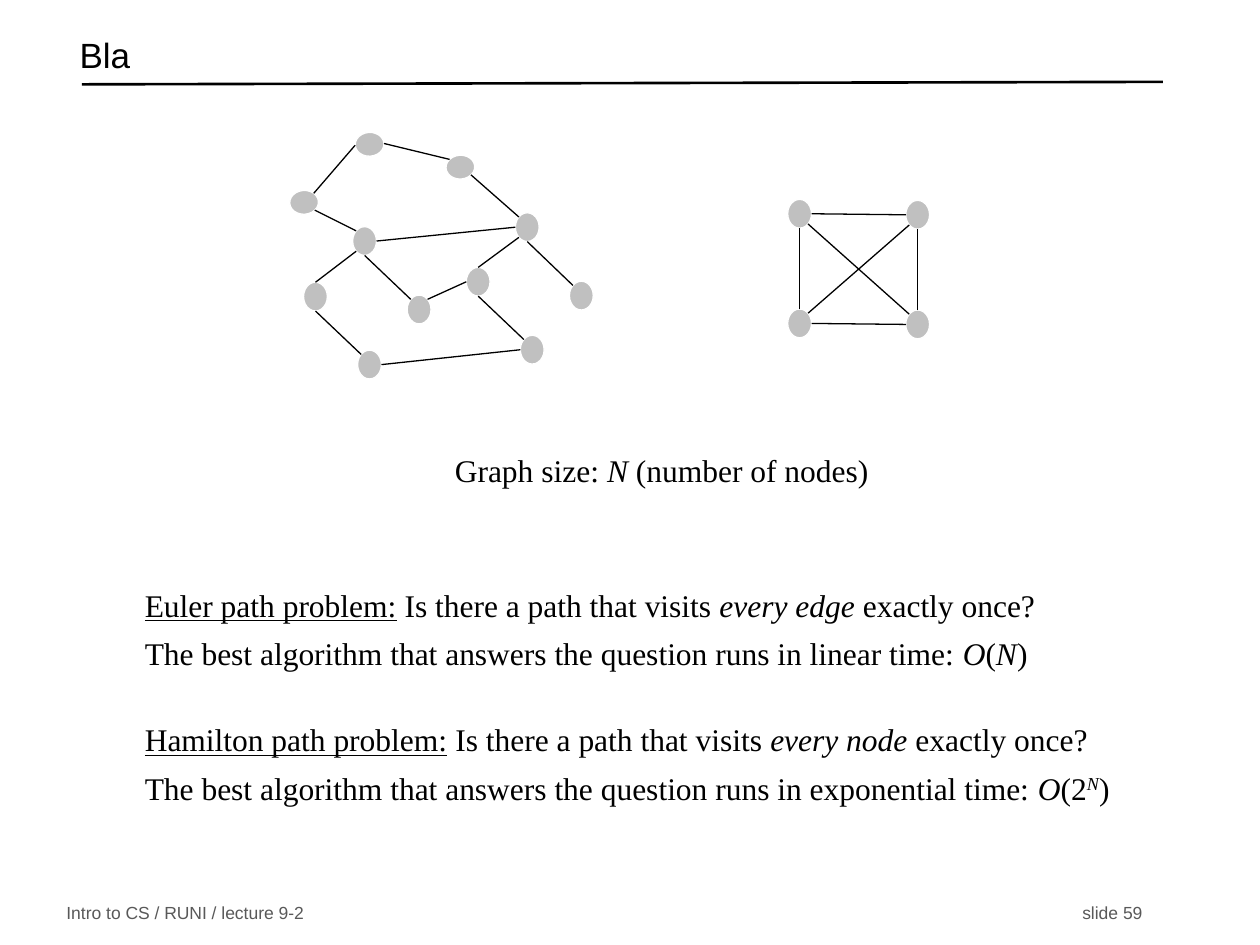
import math

from lxml import etree
from pptx import Presentation
from pptx import util as u
from pptx.dml.color import RGBColor
from pptx.enum import shapes, text
from pptx.oxml import ns

NODE_WIDTH, NODE_HEIGHT = 0.48, 0.58
SERIF = {"name": "Times New Roman", "size": u.Pt(18)}
UNDERLINED = {"underline": True}
ITALIC = {"italic": True}
CENTRED = {"vertical_anchor": text.MSO_ANCHOR.MIDDLE, "word_wrap": True}

NETWORK_NODES = {
    "A": (1.6, 0.31, 86.5), "B": (3.43, 0.77, 86.5), "C": (0.28, 1.48, 86.5),
    "D": (1.5, 2.26, 0), "E": (4.78, 1.98, 0), "F": (0.51, 3.38, 0),
    "G": (2.6, 3.64, 0), "H": (3.79, 3.08, 0), "I": (5.87, 3.36, 0),
    "J": (1.6, 4.75, 0), "K": (4.88, 4.45, 0),
}
NETWORK_EDGES = ("F4-J1 D4-G1 D3-F0 H4-K1 E4-I1 J6-K2 G7-H2 "
                 "E3-H0 D6-E2 A4-C1 B3-A0 D1-C7 B7-E1")
SQUARE_NODES = {
    "P": (0.32, 0.41, 0), "Q": (0.32, 2.62, 0),
    "R": (2.7, 0.43, 0), "S": (2.7, 2.64, 0),
}
SQUARE_EDGES = "P4-Q0 R4-S0 S2-Q6 R2-P6 R3-Q7 S1-P5"


def colour(hex_string):
    return RGBColor.from_string(hex_string)


def apply(target, values):
    for attribute, value in values.items():
        setattr(target, attribute, value)


def write(paragraph, runs, base, hex_string="000000"):
    for wording, extra in runs:
        run = paragraph.add_run()
        run.text = wording
        apply(run.font, {**base, **extra})
        run.font.color.rgb = colour(hex_string)
    return paragraph.runs


def add_line(canvas, start, end, width):
    line = canvas.add_connector(
        shapes.MSO_CONNECTOR.STRAIGHT, *(u.Cm(v) for v in (*start, *end)))
    line.line.color.rgb = colour("000000")
    line.line.width = u.Pt(width)
    etree.SubElement(line._element.spPr, ns.qn("a:effectLst"))


def add_title(slide, box, wording):
    title = slide.shapes.title
    apply(title, dict(zip(("left", "top", "width", "height"), map(u.Cm, box))))
    apply(title.text_frame, CENTRED)
    paragraph = title.text_frame.paragraphs[0]
    apply(paragraph, {"alignment": text.PP_ALIGN.LEFT, "line_spacing": 0.7})
    write(paragraph, [(wording, {})], {"name": "Arial", "size": u.Pt(20)})
    left, top = box[:2]
    add_line(slide.shapes, (left + 0.3, top + 1.14), (left + 22.09, top + 1.09), 1.5)


def add_footer(slide, box, course, page):
    footer = slide.shapes.add_textbox(*map(u.Cm, box)).text_frame
    apply(footer, CENTRED)
    paragraph = footer.paragraphs[0]
    tabs = etree.SubElement(paragraph._p.get_or_add_pPr(), ns.qn("a:tabLst"))
    etree.SubElement(tabs, ns.qn("a:tab"), pos=str(u.Cm(box[2] - 0.51)), algn="r")
    write(paragraph, [(f"{course}\t{page}", {})],
          {"name": "Arial", "size": u.Pt(10)}, "595959")


def site_point(node, site):
    x, y, rotation = node
    angle, turn = math.radians(90 + 45 * site), math.radians(rotation)
    dx = NODE_WIDTH / 2 * math.cos(angle)
    dy = -NODE_HEIGHT / 2 * math.sin(angle)
    return (x + dx * math.cos(turn) - dy * math.sin(turn),
            y + dx * math.sin(turn) + dy * math.cos(turn))


def add_graph(canvas, left, top, nodes, edges):
    placed = {name: (left + x, top + y, turn) for name, (x, y, turn) in nodes.items()}
    for x, y, rotation in placed.values():
        node = canvas.add_shape(
            shapes.MSO_SHAPE.OVAL, u.Cm(x - NODE_WIDTH / 2), u.Cm(y - NODE_HEIGHT / 2),
            u.Cm(NODE_WIDTH), u.Cm(NODE_HEIGHT))
        node.rotation = rotation
        node.shadow.inherit = False
        node.fill.solid()
        node.fill.fore_color.rgb = colour("C0C0C0")
        node.line.color.rgb = colour("FFFFFF")
        node.line.width = u.Pt(0.75)
    for edge in edges.split():
        start, end = (site_point(placed[name], int(site)) for name, site in edge.split("-"))
        add_line(canvas, start, end, 0.75)


def add_statement(slide, box, lines):
    frame = slide.shapes.add_textbox(*map(u.Cm, box)).text_frame
    apply(frame, {"word_wrap": True, "auto_size": text.MSO_AUTO_SIZE.SHAPE_TO_FIT_TEXT})
    for index, runs in enumerate(lines):
        paragraph = frame.add_paragraph() if index else frame.paragraphs[0]
        if index:
            paragraph.space_before = u.Pt(6)
        written = write(paragraph, runs, SERIF)
    return written


def add_problem(slide, box, name, target, growth, order):
    return add_statement(slide, box, [
        [(f"{name} path problem:", UNDERLINED), (" Is there a path that visits ", {}),
         (f"every {target} ", ITALIC), ("exactly once?", {})],
        [(f"The best algorithm that answers the question runs in {growth} time: ", {}),
         ("O", ITALIC), (order, {}), ("N", ITALIC), (")", {})],
    ])


def main():
    deck = Presentation()
    apply(deck, {"slide_width": u.Cm(25.4), "slide_height": u.Cm(19.05)})
    slide = deck.slides.add_slide(deck.slide_layouts[5])
    add_title(slide, (1.35, 0.56, 26.09, 1.27), "Bla")
    add_footer(slide, (1.09, 18.14, 22.2, 0.53),
               "Intro to CS / RUNI / lecture 9-2", "slide 59")
    hamilton = add_problem(slide, (2.67, 14.4, 22.35, 2.01),
                           "Hamilton", "node", "exponential", "(2")
    exponent = hamilton[-2]
    exponent._r.get_or_add_rPr().set("baseline", "30000")
    add_problem(slide, (2.67, 11.68, 22, 2.01), "Euler", "edge", "linear", "(")
    network = slide.shapes.add_group_shape()
    add_graph(network.shapes, 5.85, 2.6, NETWORK_NODES, NETWORK_EDGES)
    add_graph(slide.shapes, 15.8, 3.9, SQUARE_NODES, SQUARE_EDGES)
    add_statement(slide, (8.92, 8.97, 13.72, 1.02), [
        [("Graph size: ", {}), ("N", ITALIC), (" (number of nodes)", {})]])
    deck.save("out.pptx")


if __name__ == "__main__":
    main()
